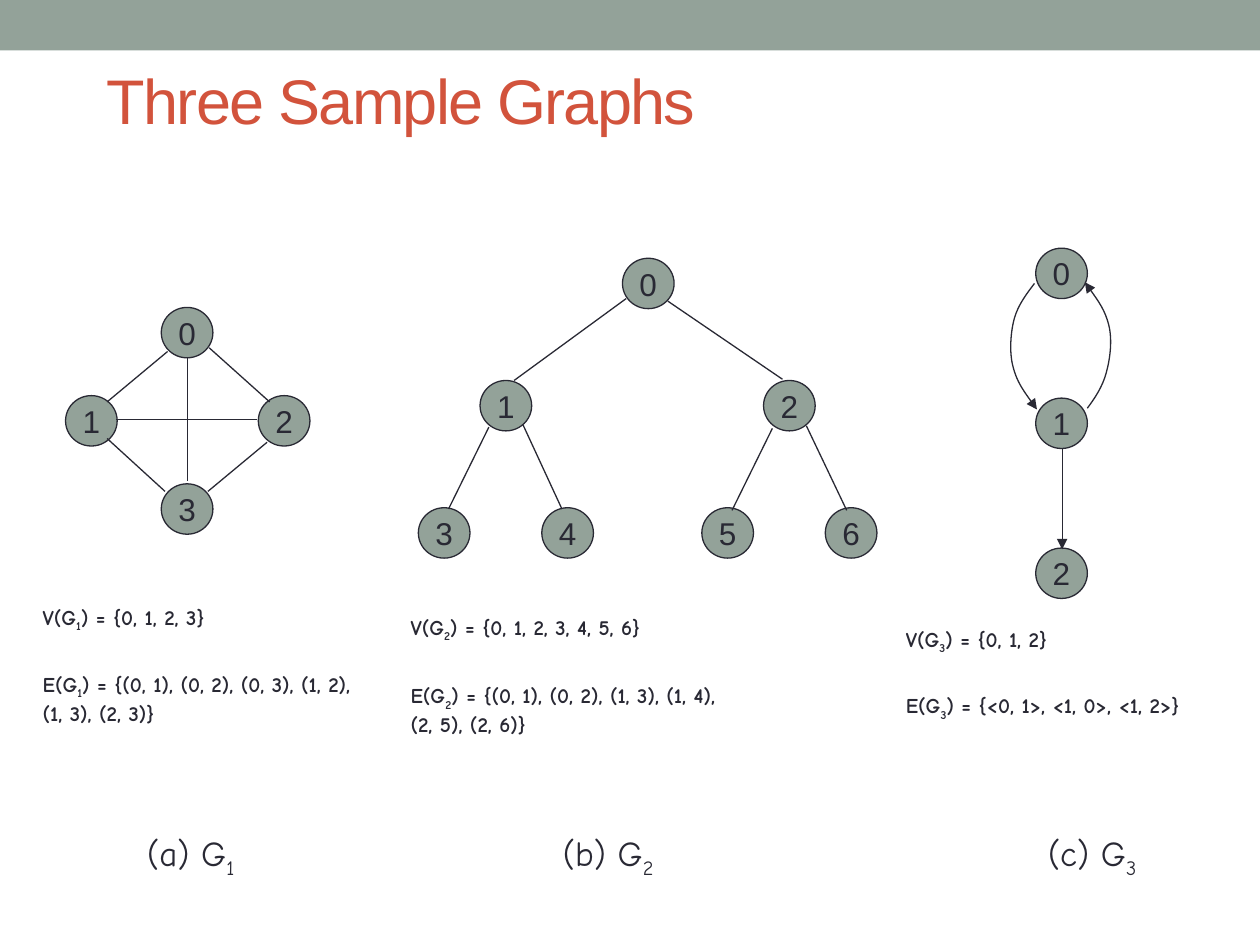
import pptx
import pptx.dml.color
import pptx.enum.shapes
import pptx.enum.text
import pptx.oxml
import pptx.oxml.ns
import pptx.util

Inches = pptx.util.Inches
SHAPE = pptx.enum.shapes.MSO_SHAPE

THEME = {
    "sage": "93A299", "ink": "292934", "accent": "D2533C",
    "sans": "Arial", "hand": "Comic Neue",
    "title": 36, "node": 18, "caption": 20, "sets": 12, "line": 0.75,
}

TITLE = "Three Sample Graphs"
NODE_WIDTH, NODE_HEIGHT = 0.41, 0.4

# Nodes are (label, left, top); edges are (x1, y1, x2, y2).
# Text positions are (left, top); sets are (letter, members, left, top, width, height).
GRAPHS = [
    {
        "number": "1", "caption": ("(a) G", 1.07),
        "nodes": [("0", 1.28, 2.44), ("3", 1.28, 3.84), ("1", 0.52, 3.14), ("2", 2.05, 3.14)],
        "edges": [(0.92, 3.33, 2.04, 3.33), (1.49, 2.84, 1.49, 3.82),
                  (2.12, 3.51, 1.65, 3.9), (1.33, 2.79, 0.85, 3.19),
                  (0.85, 3.48, 1.31, 3.9), (1.66, 2.76, 2.14, 3.19)],
        "sets": [("V", "{0, 1, 2, 3}", 0.24, 4.75, 1.86, 0.3),
                 ("E", "{(0, 1), (0, 2), (0, 3), (1, 2), (1, 3), (2, 3)}", 0.24, 5.28, 2.69, 0.5)],
    },
    {
        "number": "2", "caption": ("(b) G", 4.37),
        "nodes": [("0", 4.94, 2.05), ("1", 3.81, 3.02), ("3", 3.32, 4.03), ("4", 4.3, 4.03),
                  ("2", 6.06, 3.02), ("5", 5.57, 4.03), ("6", 6.55, 4.03)],
        "edges": [(4.97, 2.37, 4.08, 3.02), (3.88, 3.39, 3.56, 4.04),
                  (4.15, 3.37, 4.46, 4.04), (6.13, 3.4, 5.81, 4.05),
                  (6.4, 3.38, 6.72, 4.05), (5.3, 2.39, 6.21, 3.01)],
        "sets": [("V", "{0, 1, 2, 3, 4, 5, 6}", 3.16, 4.83, 2.69, 0.3),
                 ("E", "{(0, 1), (0, 2), (1, 3), (1, 4), (2, 5), (2, 6)}", 3.16, 5.37, 2.69, 0.5)],
    },
    {
        "number": "3", "caption": ("(c) G", 8.22), "directed": True,
        "nodes": [("0", 8.22, 1.97), ("1", 8.22, 3.16), ("2", 8.22, 4.35)],
        "edges": [(8.43, 3.56, 8.43, 4.36)],
        # Each curve is a start point, then three Bezier points per segment
        "curves": [
            [(8.21, 2.25), (8.15, 2.33), (8.08, 2.42), (8.05, 2.53),
             (8.02, 2.64), (8.01, 2.8), (8.04, 2.91), (8.07, 3.03), (8.15, 3.14), (8.23, 3.25)],
            [(8.63, 3.24), (8.69, 3.16), (8.75, 3.07), (8.78, 2.96),
             (8.81, 2.85), (8.83, 2.7), (8.8, 2.58), (8.77, 2.46), (8.69, 2.35), (8.61, 2.24)],
        ],
        "sets": [("V", "{0, 1, 2}", 7.09, 4.92, 2.69, 0.3),
                 ("E", "{<0, 1>, <1, 0>, <1, 2>}", 7.09, 5.45, 2.69, 0.5)],
    },
]


def color(name):
    return pptx.dml.color.RGBColor.from_string(THEME[name])


def style_span(span, font, size, ink="ink", bold=False):
    span.font.name = THEME[font]
    span.font.size = pptx.util.Pt(THEME[size])
    span.font.color.rgb = color(ink)
    span.font.bold = bold


def style_line(line, arrow=False):
    line.color.rgb = color("ink")
    line.width = pptx.util.Pt(THEME["line"])
    if arrow:
        pptx.oxml.ns.qn("a:tailEnd")
        tail = line._get_or_add_ln().makeelement(pptx.oxml.ns.qn("a:tailEnd"), {"type": "triangle"})
        line._get_or_add_ln().append(tail)


def add_text(page, left, top, width, height, parts, font, size, ink="ink", bold=False):
    """Add a text box from (text, is_subscript) parts."""
    box = page.shapes.add_textbox(Inches(left), Inches(top), Inches(width), Inches(height))
    box.text_frame.word_wrap = True
    for text, is_subscript in parts:
        span = box.text_frame.paragraphs[0].add_run()
        span.text = text
        style_span(span, font, size, ink, bold)
        if is_subscript:
            span.font._element.set("baseline", "-25000")
    return box


def add_node(page, label, left, top):
    node = page.shapes.add_shape(SHAPE.OVAL, Inches(left), Inches(top),
                                 Inches(NODE_WIDTH), Inches(NODE_HEIGHT))
    node.shadow.inherit = False
    node.fill.solid()
    node.fill.fore_color.rgb = color("sage")
    style_line(node.line)
    frame = node.text_frame
    frame.text = label
    frame.word_wrap = False
    frame.vertical_anchor = pptx.enum.text.MSO_ANCHOR.MIDDLE
    para = frame.paragraphs[0]
    para.alignment = pptx.enum.text.PP_ALIGN.CENTER
    style_span(para.runs[0], "sans", "node")


def add_edge(page, ends, arrow):
    edge = page.shapes.add_connector(pptx.enum.shapes.MSO_CONNECTOR.STRAIGHT,
                                     *[Inches(value) for value in ends])
    style_line(edge.line, arrow)
    properties = edge._element.spPr
    properties.append(properties.makeelement(pptx.oxml.ns.qn("a:effectLst"), {}))


def add_curve(page, points):
    start, *rest = [(Inches(x), Inches(y)) for x, y in points]
    builder = page.shapes.build_freeform(*start)
    builder.add_line_segments(rest, close=False)
    curve = builder.convert_to_shape()
    curve.shadow.inherit = False
    curve.fill.background()
    style_line(curve.line, arrow=True)
    # Merge every three straight segments into one Bezier segment
    outline = next(curve._element.iter(pptx.oxml.ns.qn("a:path")))
    segments = outline.findall(pptx.oxml.ns.qn("a:lnTo"))
    for first in range(0, len(segments), 3):
        bezier = outline.makeelement(pptx.oxml.ns.qn("a:cubicBezTo"), {})
        for segment in segments[first:first + 3]:
            bezier.append(segment[0])
            outline.remove(segment)
        outline.append(bezier)


def add_graph(page, graph):
    for node in graph["nodes"]:
        add_node(page, *node)
    for points in graph.get("curves", []):
        add_curve(page, points)
    for ends in graph["edges"]:
        add_edge(page, ends, graph.get("directed", False))
    # Caption and set definitions
    number = (graph["number"], True)
    caption, left = graph["caption"]
    add_text(page, left, 6.55, 1.03, 0.43, [(caption, False), number], "hand", "caption")
    for letter, members, *place in graph["sets"]:
        parts = [(f"{letter}(G", False), number, (f") = {members}", False)]
        add_text(page, *place, parts, "hand", "sets", bold=True)


def main():
    deck = pptx.Presentation()
    deck.slide_width, deck.slide_height = Inches(10), Inches(7.5)
    page = deck.slides.add_slide(deck.slide_layouts[6])

    # Top band
    band = page.shapes.add_shape(SHAPE.RECTANGLE, 0, 0, deck.slide_width, Inches(0.4))
    band.shadow.inherit = False
    band.fill.solid()
    band.fill.fore_color.rgb = color("sage")
    band.line.fill.background()

    # Title with tightened letter spacing
    title = add_text(page, 0.75, 0.43, 8.68, 0.72, [(TITLE, False)], "sans", "title", "accent")
    title.text_frame.vertical_anchor = pptx.enum.text.MSO_ANCHOR.MIDDLE
    title.text_frame.paragraphs[0].runs[0].font._element.set("spc", "-100")

    for graph in GRAPHS:
        add_graph(page, graph)
    deck.save("out.pptx")


if __name__ == "__main__":
    main()
